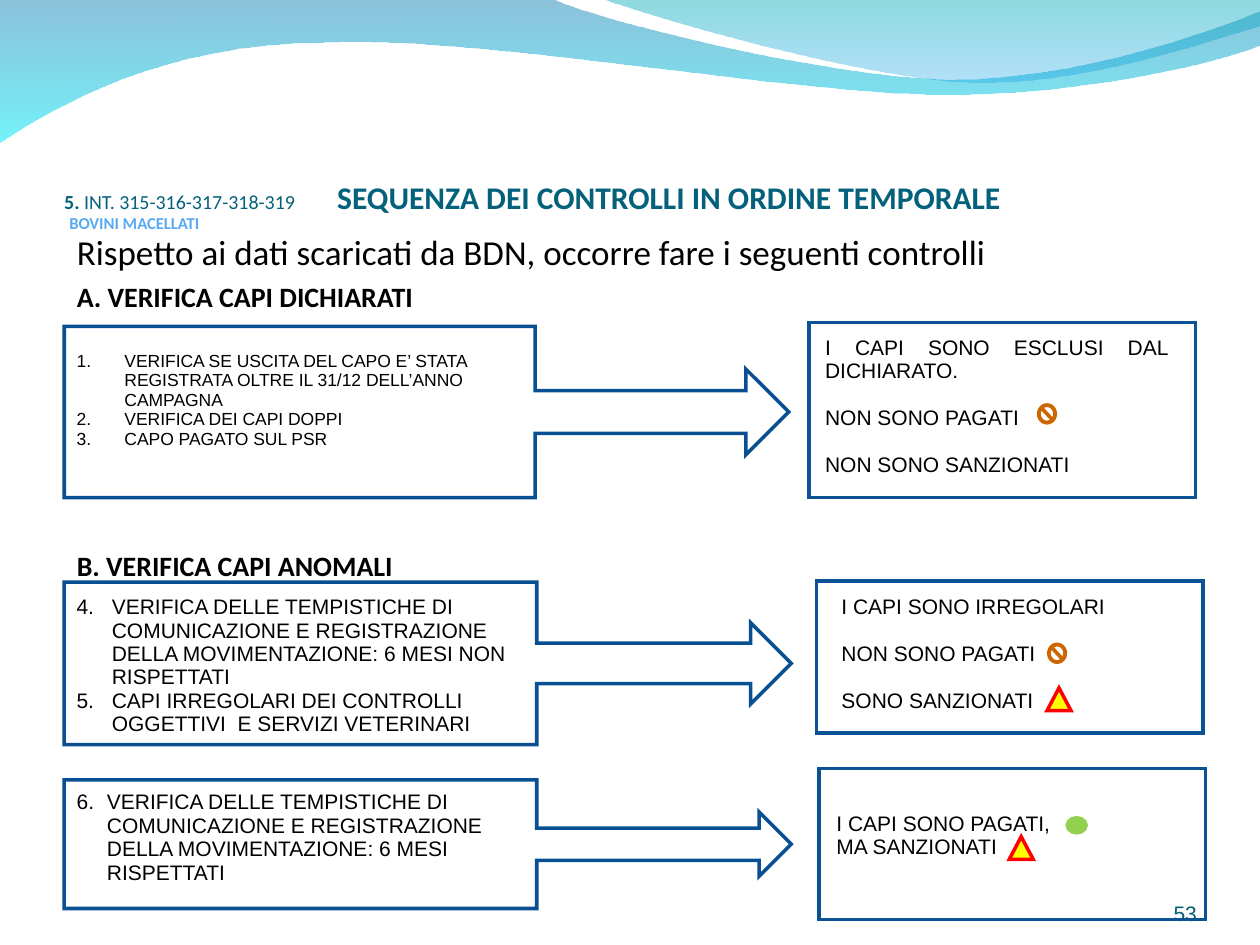
"""Build the slide on the sequence of checks for slaughtered cattle."""
import pptx
import pptx.util
import pptx.dml.color
import pptx.enum.shapes
import pptx.enum.text
import pptx.oxml.ns
import lxml.etree

SHAPE = pptx.enum.shapes.MSO_SHAPE
ALIGN = pptx.enum.text.PP_ALIGN
ANCHOR = pptx.enum.text.MSO_ANCHOR
Inches, Pt, qn = pptx.util.Inches, pptx.util.Pt, pptx.oxml.ns.qn
BLACK, TEAL, BLUE, NAVY = "000000", "04617B", "085091", "0B5395"
LEFT = 0.51
INSET = (0.1, 0.05, 0.1, 0.05)
GAP = 13.4
UNITS = 1000

TITLE = "SEQUENZA DEI CONTROLLI IN ORDINE TEMPORALE"
BODY = [
    ("Rispetto ai dati scaricati da BDN, occorre fare i seguenti controlli", 20, False, 0),
    ("A. VERIFICA CAPI DICHIARATI", 16, True, 4),
    ("B. VERIFICA CAPI ANOMALI", 16, True, 134.5),
]
CHECKS = [
    dict(callout=(2.59, 5.75, 1.36), text=(2.74, 3.74, 1.03), size=10, start=1, indent=0.38,
         items=["VERIFICA SE USCITA DEL CAPO E’ STATA REGISTRATA OLTRE IL 31/12 DELL’ANNO CAMPAGNA",
                "VERIFICA DEI CAPI DOPPI", "CAPO PAGATO SUL PSR"]),
    dict(callout=(4.62, 5.77, 1.29), text=(4.68, 3.74, 1.22), size=12, start=4, indent=0.28,
         items=["VERIFICA DELLE TEMPISTICHE DI COMUNICAZIONE E REGISTRAZIONE "
                "DELLA MOVIMENTAZIONE: 6 MESI NON RISPETTATI",
                "CAPI IRREGOLARI DEI CONTROLLI OGGETTIVI  E SERVIZI VETERINARI"]),
    dict(callout=(6.19, 5.77, 1.02), text=(6.23, 3.62, 0.85), size=12, start=6, indent=0.24,
         items=["VERIFICA DELLE TEMPISTICHE DI COMUNICAZIONE E REGISTRAZIONE "
                "DELLA MOVIMENTAZIONE: 6 MESI RISPETTATI"]),
]
OUTCOMES = [
    dict(box=(6.42, 2.56, 3.07, 1.39), text=(6.45, 2.62, 2.92, 1.22), gap=GAP,
         items=["I CAPI SONO ESCLUSI DAL DICHIARATO.", "NON SONO PAGATI", "NON SONO SANZIONATI"]),
    dict(box=(6.48, 4.61, 3.07, 1.21), text=(6.58, 4.68, 2.91, 1.03), gap=GAP,
         items=["I CAPI SONO IRREGOLARI", "NON SONO PAGATI", "SONO SANZIONATI"]),
    dict(box=(6.5, 6.1, 3.07, 1.2), text=(6.54, 6.4, 2.91, 0.47), gap=0,
         items=["I CAPI SONO PAGATI,", "MA SANZIONATI"]),
]
ICONS = [
    (SHAPE.NO_SYMBOL, (8.23, 3.2, 0.16, 0.17), "CC6600", None),
    (SHAPE.NO_SYMBOL, (8.31, 5.1, 0.16, 0.17), "CC6600", None),
    (SHAPE.ISOSCELES_TRIANGLE, (8.01, 6.64, 0.19, 0.18), "FFFF00", "FF0000"),
    (SHAPE.FLOWCHART_CONNECTOR, (8.47, 6.49, 0.15, 0.12), "92D050", "92D050"),
    (SHAPE.ISOSCELES_TRIANGLE, (8.31, 5.46, 0.19, 0.18), "FFFF00", "FF0000"),
]
WAVES = [
    ([[(0, 0)], [(4.4, 0)],
      [(4.76, 0.17), (6.64, 0.63), (7.58, 0.63)], [(8.53, 0.63), (9.58, 0.26), (10, 0.09)],
      [(10, 0.36)], [(9.83, 0.44), (8.7, 0.76), (7.46, 0.75)],
      [(6.22, 0.75), (3.82, 0.28), (2.57, 0.34)], [(1.29, 0.35), (0.46, 0.83), (0, 1.13)]],
     [("0079AF", 45), ("00EBF8", 55)]),
    ([[(4.79, 0)], [(5.09, 0.11), (6.82, 0.62), (7.69, 0.65)],
      [(8.56, 0.69), (9.61, 0.32), (10, 0.21)], [(10, 0)]],
     [("00ADB6", 45), ("009BE5", 30)]),
]


def rgb(value):
    """Turn a hex string into a colour."""
    return pptx.dml.color.RGBColor.from_string(value)


def sub(parent, tag, **attrs):
    """Append a drawing element with attributes."""
    return lxml.etree.SubElement(parent, qn(tag), attrs)


def place(shape, at):
    """Set a shape's left, top, width and height in inches."""
    shape.left, shape.top, shape.width, shape.height = map(Inches, at)
    return shape


def frame(shape, inset=INSET, anchor=ANCHOR.TOP):
    """Prepare a shape's text frame."""
    tf = shape.text_frame
    tf.word_wrap, tf.auto_size = True, pptx.enum.text.MSO_AUTO_SIZE.NONE
    tf.vertical_anchor = anchor
    tf.margin_left, tf.margin_top, tf.margin_right, tf.margin_bottom = map(Inches, inset)
    return tf


def write(tf, text, size=12, font="Arial", color=BLACK, bold=False, align=ALIGN.LEFT,
          before=0, spacing=0.93, indent=0, hang=0, number=None, same_line=False):
    """Write a run in a new paragraph, or on the current one."""
    p = tf.paragraphs[-1]
    if not same_line:
        if p.runs:
            p = tf.add_paragraph()
        p.alignment, p.line_spacing, p.space_before = align, spacing, Pt(before)
        pPr = p._p.get_or_add_pPr()
        pPr.set("marL", str(Inches(indent)))
        pPr.set("indent", str(-Inches(hang)))
        if number:
            sub(pPr, "a:buAutoNum", type="arabicPeriod", startAt=str(number))
        else:
            sub(pPr, "a:buNone")
    r = p.add_run()
    r.text = text
    r.font.name, r.font.size, r.font.bold = font, Pt(size), bold
    r.font.color.rgb = rgb(color)


def add_preset(s, kind, at, fill=None, line=None):
    """Add a preset shape with mitred corners."""
    sp = s.shapes.add_shape(kind, *map(Inches, at))
    sp.shadow.inherit = False
    if fill:
        sp.fill.solid()
        sp.fill.fore_color.rgb = rgb(fill)
    else:
        sp.fill.background()
    if line:
        sp.line.color.rgb, sp.line.width = rgb(line), Pt(2)
        sub(sp._element.spPr.find(qn("a:ln")), "a:miter", lim="800000")
    else:
        sp.line.fill.background()
    return sp


def add_box(s, at, **kwargs):
    """Add a text box and return its frame."""
    return frame(s.shapes.add_textbox(*map(Inches, at)), **kwargs)


def add_wave(s, segments, stops):
    """Add a curved wave with a translucent vertical gradient."""
    start, *ends = [tuple(round(v * UNITS) for v in seg[-1]) for seg in segments]
    builder = s.shapes.build_freeform(*start, scale=Inches(1) / UNITS)
    builder.add_line_segments(ends, close=True)
    sp = builder.convert_to_shape()
    left, top = (min(seg[-1][k] for seg in segments) for k in (0, 1))
    lines = sp._element.spPr.findall(".//" + qn("a:lnTo"))
    for line, seg in zip(lines, segments[1:]):
        if len(seg) == 3:
            line.tag = qn("a:cubicBezTo")
            line.clear()
            for x, y in seg:
                sub(line, "a:pt", x=str(round((x - left) * UNITS)), y=str(round((y - top) * UNITS)))
    sp.shadow.inherit = False
    sp.line.fill.background()
    sp.fill.gradient()
    sp.fill.gradient_angle = 270
    for stop, (color, _) in zip(sp.fill.gradient_stops, stops):
        stop.color.rgb = rgb(color)
    colors = sp._element.spPr.findall(".//" + qn("a:srgbClr"))
    for element, (_, alpha) in zip(colors, stops):
        sub(element, "a:alpha", val=str(alpha * 1000))
    return sp


def main():
    """Assemble and save the slide."""
    prs = pptx.Presentation()
    prs.slide_width, prs.slide_height = Inches(10), Inches(7.5)
    s = prs.slides.add_slide(prs.slide_layouts[1])
    for i, (segments, stops) in enumerate(WAVES):
        s.shapes._spTree.insert(2 + i, add_wave(s, segments, stops)._element)

    tf = frame(place(s.shapes.title, (LEFT, 0.46, 9.6, 1.25)), (0, 0.05, 0, 0), ANCHOR.BOTTOM)
    write(tf, TITLE, size=18, font="Calibri", color=TEAL, bold=True, align=ALIGN.CENTER, spacing=1)
    tf = frame(place(s.placeholders[1], (LEFT, 1.78, 8.99, 4.33)))
    for text, size, bold, before in BODY:
        write(tf, text, size=size, font="Calibri", bold=bold, before=before,
              align=ALIGN.JUSTIFY, spacing=1)

    tf = add_box(s, (8.67, 6.95, 0.83, 0.4), inset=(0, 0, 0, 0), anchor=ANCHOR.BOTTOM)
    write(tf, "53", color="045C75", align=ALIGN.RIGHT)
    tf = add_box(s, (LEFT, 1.23, 9.26, 1.02), inset=(0, 0.05, 0, 0.4), anchor=ANCHOR.BOTTOM)
    label = dict(font="Calibri", spacing=0.8)
    write(tf, "5. ", size=11.4, color=TEAL, bold=True, **label)
    write(tf, "INT. 315-316-317-318-319", size=11.4, color=TEAL, same_line=True, **label)
    write(tf, "BOVINI MACELLATI", size=9.5, color="59AAF2", bold=True, indent=0.04,
          before=2.3, **label)

    for check in CHECKS:
        sp = add_preset(s, SHAPE.RIGHT_ARROW_CALLOUT, (LEFT, *check["callout"]), line=BLUE)
        for i, value in enumerate((0.25, 0.25, 0.25, 0.65)):
            sp.adjustments[i] = value
        tf = add_box(s, (LEFT, *check["text"]))
        for item in check["items"]:
            write(tf, item, size=check["size"], indent=check["indent"], hang=check["indent"],
                  number=check["start"])
    for outcome in OUTCOMES:
        add_preset(s, SHAPE.RECTANGLE, outcome["box"], line=NAVY)
        tf = add_box(s, outcome["text"])
        for i, item in enumerate(outcome["items"]):
            write(tf, item, align=ALIGN.JUSTIFY, before=outcome["gap"] if i else 0)
    for icon in ICONS:
        add_preset(s, *icon)
    prs.save("out.pptx")


if __name__ == "__main__":
    main()
